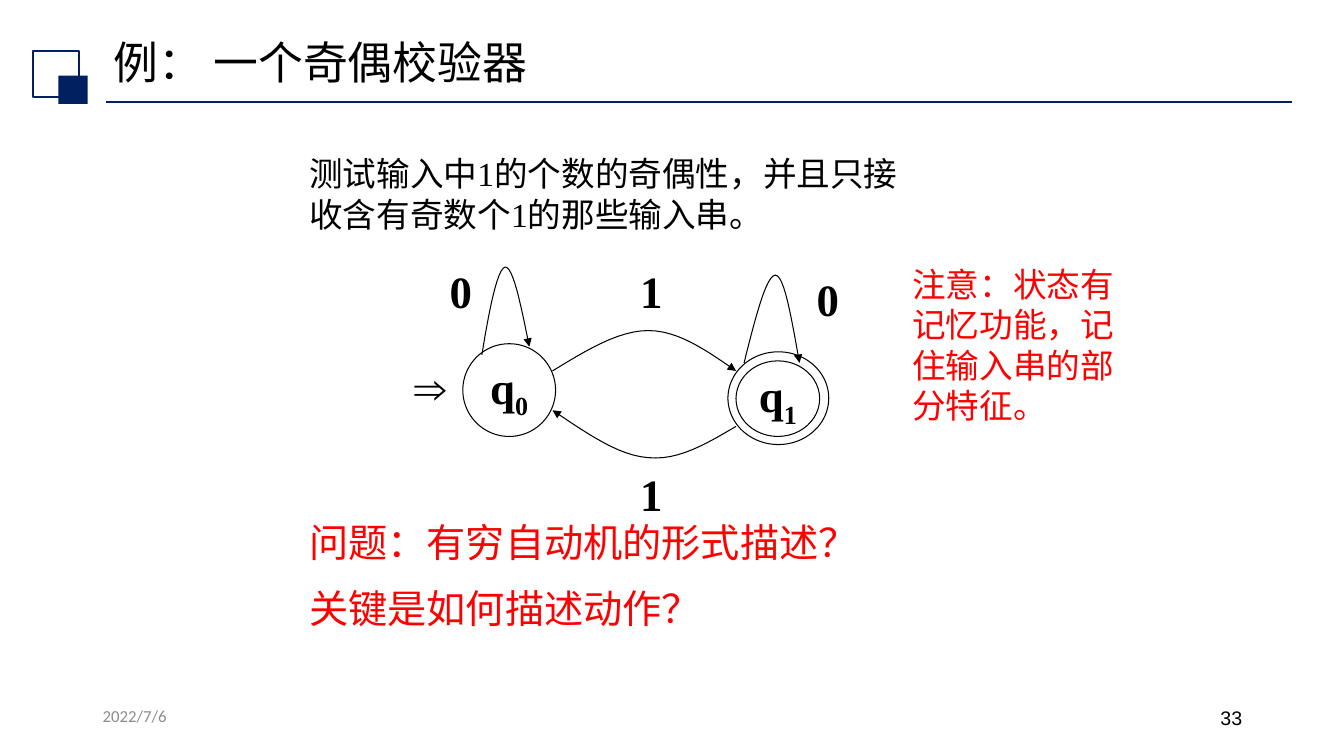
from lxml import etree
from pptx import Presentation
from pptx.dml.color import RGBColor
from pptx.enum import shapes, text
from pptx.oxml.ns import qn
from pptx.util import Inches, Pt

# Theme: colours, and (size, font, colour, bold, East Asian font) per text style
NAVY, BLACK, WHITE, RED, GREY = "002060", "000000", "FFFFFF", "FF0000", "8C8C8C"
CJK, SERIF = "Noto Sans CJK SC", "Times New Roman"
THEME = {
    "title": (32, CJK, BLACK, False, CJK),
    "date": (12, "Calibri", GREY, False, None),
    "number": (14, "Arial", BLACK, False, None),
    "label": (32, SERIF, BLACK, True, None),
    "body": (24, SERIF, BLACK, False, CJK),
    "note": (24, SERIF, RED, False, CJK),
    "question": (28, SERIF, RED, False, CJK),
}
LEFT, CENTER, RIGHT = text.PP_ALIGN.LEFT, text.PP_ALIGN.CENTER, text.PP_ALIGN.RIGHT

# Content: (paragraphs, left, top, width, height, style, alignment)
TITLE = (["例： 一个奇偶校验器"], 1.03, 0.34, 11.5, 0.61, "title", LEFT)
TEXTS = [
    (["2022/7/6"], 0.92, 6.95, 3, 0.4, "date", LEFT),
    (["33"], 9.42, 6.95, 3, 0.4, "number", RIGHT),
    (["测试输入中1的个数的奇偶性，并且只接收含有奇数个1的那些输入串。"],
     2.97, 1.47, 6.22, 0.91, "body", LEFT),
    (["问题：有穷自动机的形式描述？", "关键是如何描述动作？"],
     2.97, 5.09, 5.98, 1.27, "question", LEFT),
    (["注意：状态有记忆功能，记住输入串的部分特征。"],
     8.95, 2.57, 2.44, 1.72, "note", LEFT),
    (["⇒"], 3.44, 3.52, 1.67, 0.63, "label", CENTER),
]
EDGE_LABELS = [("0", 4.36, 2.57), ("0", 8, 2.65), ("1", 6.25, 2.57), ("1", 6.25, 4.58)]
# States: (subscript, left, top, width, height); None is the outer accepting ring
STATES = [("0", 4.59, 3.41, 0.92, 0.92), (None, 7.22, 3.49, 1, 0.92),
          ("1", 7.3, 3.58, 0.83, 0.75)]
# Transitions: start point, then two control points and an end point per curve
TRANSITIONS = [
    [(4.78, 3.52), (4.85, 3.09), (4.93, 2.67), (5.01, 2.65),
     (5.09, 2.64), (5.17, 3.04), (5.25, 3.44)],
    [(7.38, 3.6), (7.49, 3.16), (7.6, 2.73), (7.69, 2.73),
     (7.78, 2.73), (7.85, 3.16), (7.93, 3.6)],
    [(5.48, 3.68), (5.81, 3.48), (6.13, 3.28), (6.43, 3.28),
     (6.73, 3.28), (7.01, 3.48), (7.3, 3.68)],
    [(7.3, 4.23), (7.01, 4.4), (6.73, 4.57), (6.43, 4.54),
     (6.13, 4.52), (5.81, 4.29), (5.48, 4.07)],
]
CURVE_STEPS = 12

prs = Presentation()
prs.slide_width, prs.slide_height = Inches(13.33), Inches(7.5)
s = prs.slides.add_slide(prs.slide_layouts[6])


def rgb(color):
    return RGBColor.from_string(color)


def add_run(p, words, style, baseline=None):
    size, font, color, bold, east_asian = THEME[style]
    r = p.add_run()
    r.text = words
    r.font.size, r.font.name, r.font.bold = Pt(size), font, bold
    r.font.color.rgb = rgb(color)
    if east_asian:
        etree.SubElement(r.font._element, qn("a:ea"), typeface=east_asian)
    if baseline:
        r.font._element.set("baseline", str(baseline))


def add_text(paragraphs, x, y, w, h, style, align=LEFT):
    sp = s.shapes.add_textbox(*map(Inches, (x, y, w, h)))
    tf = sp.text_frame
    tf.word_wrap = True
    for i, words in enumerate(paragraphs):
        p = tf.paragraphs[0] if i == 0 else tf.add_paragraph()
        p.alignment = align
        if i:
            p.space_before = Pt(THEME[style][0] / 2)
        add_run(p, words, style)
    return tf


def paint(sp, fill, line, width=0.75):
    sp.shadow.inherit = False
    if fill:
        sp.fill.solid()
        sp.fill.fore_color.rgb = rgb(fill)
    else:
        sp.fill.background()
    if line:
        sp.line.color.rgb = rgb(line)
        sp.line.width = Pt(width)
    else:
        sp.line.fill.background()


def add_shape(kind, x, y, w, h, fill, line, width=0.75):
    sp = s.shapes.add_shape(kind, *map(Inches, (x, y, w, h)))
    paint(sp, fill, line, width)
    return sp


def bezier(a, b, c, d, t):
    k = 1 - t
    return tuple(Inches(k**3 * m + 3 * k * k * t * n + 3 * k * t * t * o + t**3 * q)
                 for m, n, o, q in zip(a, b, c, d))


def add_transition(points):
    curve = [bezier(*points[i:i + 4], step / CURVE_STEPS)
             for i in range(0, len(points) - 1, 3)
             for step in range(1, CURVE_STEPS + 1)]
    builder = s.shapes.build_freeform(*map(Inches, points[0]))
    builder.add_line_segments(curve, close=False)
    sp = builder.convert_to_shape()
    paint(sp, None, BLACK)
    etree.SubElement(sp.line._get_or_add_ln(), qn("a:tailEnd"), type="triangle")


# Header: rule, corner squares, title
rule = s.shapes.add_connector(shapes.MSO_CONNECTOR.STRAIGHT,
                              *map(Inches, (1.05, 1.01, 12.81, 1.01)))
rule.line.color.rgb = rgb(NAVY)
rule.line.width = Pt(1.25)
etree.SubElement(rule._element.spPr, qn("a:effectLst"))
RECT, OVAL = shapes.MSO_SHAPE.RECTANGLE, shapes.MSO_SHAPE.OVAL
add_shape(RECT, 0.33, 0.51, 0.45, 0.45, None, NAVY, 1.5)
add_shape(RECT, 0.58, 0.75, 0.29, 0.28, NAVY, None)
tf = add_text(*TITLE)
tf.vertical_anchor = text.MSO_ANCHOR.MIDDLE
tf.paragraphs[0].line_spacing = 0.9

# States
for subscript, *box in STATES:
    sp = add_shape(OVAL, *box, WHITE, BLACK)
    if subscript:
        tf = sp.text_frame
        tf.word_wrap = False
        tf.vertical_anchor = text.MSO_ANCHOR.MIDDLE
        p = tf.paragraphs[0]
        p.alignment = CENTER
        add_run(p, "q", "label")
        add_run(p, subscript, "label", -25000)

# Transitions and their labels
for points in TRANSITIONS:
    add_transition(points)
for symbol, x, y in EDGE_LABELS:
    add_text([symbol], x, y, 0.42, 0.63, "label")

# Start arrow, explanations and footer
for item in TEXTS:
    add_text(*item)

prs.save("out.pptx")
